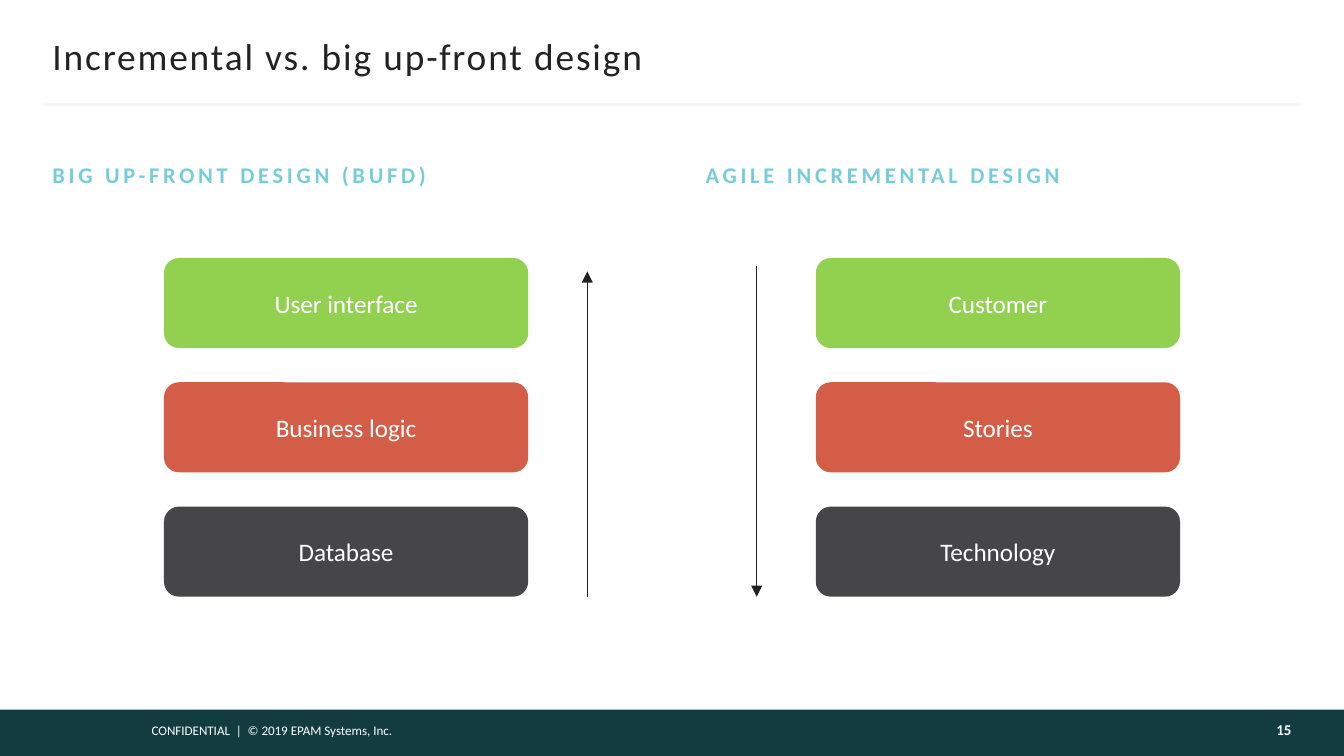
from dataclasses import dataclass

import pptx
import pptx.dml.color
import pptx.enum.shapes
import pptx.enum.text
import pptx.oxml
import pptx.oxml.ns
import pptx.slide
import pptx.util

Inches, Pt = pptx.util.Inches, pptx.util.Pt
RGBColor = pptx.dml.color.RGBColor
SHAPE = pptx.enum.shapes.MSO_SHAPE
ALIGN = pptx.enum.text.PP_ALIGN
ANCHOR = pptx.enum.text.MSO_ANCHOR
qn = pptx.oxml.ns.qn

WHITE = RGBColor(0xFF, 0xFF, 0xFF)
NEAR_WHITE = RGBColor(0xFE, 0xFE, 0xFE)
INK = RGBColor(0x22, 0x22, 0x22)
RULE = RGBColor(0xF5, 0xF5, 0xF5)
TEAL = RGBColor(0x13, 0x3C, 0x41)
AQUA = RGBColor(0x76, 0xCD, 0xD8)
GREEN = RGBColor(0x92, 0xD0, 0x50)
RED = RGBColor(0xD3, 0x5D, 0x47)
GREY = RGBColor(0x46, 0x45, 0x47)

SLIDE_W = 10
SLIDE_H = SLIDE_W * 9 / 16
FOOTER_TOP = 5.28
LAYER_COLORS = (GREEN, RED, GREY)
LAYER_W, LAYER_H = 2.71, 0.67
LAYER_TOP, LAST_LAYER_TOP = 1.92, 3.77
LAYER_PITCH = (LAST_LAYER_TOP - LAYER_TOP) / (len(LAYER_COLORS) - 1)
STACK_BOTTOM = LAST_LAYER_TOP + LAYER_H


@dataclass
class Label:
    text: str
    box: tuple[float, float, float, float]
    size: float
    color: RGBColor
    bold: bool = False
    spacing: float = 0
    align: ALIGN = ALIGN.LEFT
    anchor: ANCHOR = ANCHOR.TOP
    insets: tuple[float, float, float, float] = (0, 0, 0, 0)
    line_height: float | None = None


@dataclass
class Approach:
    heading: str
    heading_left: float
    stack_left: float
    layers: tuple[str, str, str]
    arrow_x: float
    arrow_from: float
    arrow_to: float


LABELS = (
    Label("CONFIDENTIAL  |  © 2019 EPAM Systems, Inc.", (1.03, 5.33, 2.65, 0.22),
          7, WHITE, insets=(0.1, 0.05, 0.1, 0.05)),
    Label("Incremental vs. big up-front design", (0.39, 0.25, 9.22, 0.33),
          20, INK, spacing=1, anchor=ANCHOR.MIDDLE, insets=(0, 0.05, 0, 0.05)),
    Label("15", (8.11, FOOTER_TOP, 1.5, 0.34), 8, NEAR_WHITE, bold=True,
          align=ALIGN.RIGHT, anchor=ANCHOR.MIDDLE, insets=(0.1, 0.05, 0, 0.09)),
)
APPROACHES = (
    Approach("BIG UP-FRONT DESIGN (BUFD)", 0.39, 1.22,
             ("User interface", "Business logic", "Database"),
             4.37, STACK_BOTTOM, 2.02),
    Approach("AGILE INCREMENTAL DESIGN", 5.25, 6.07,
             ("Customer", "Stories", "Technology"),
             5.63, 1.98, STACK_BOTTOM),
)


def write_text(sp, label: Label) -> None:
    tf = sp.text_frame
    left, top, right, bottom = map(Inches, label.insets)
    frame_format = {"word_wrap": True, "vertical_anchor": label.anchor,
                    "margin_left": left, "margin_top": top,
                    "margin_right": right, "margin_bottom": bottom}
    for name, value in frame_format.items():
        setattr(tf, name, value)
    p = tf.paragraphs[0]
    p.alignment = label.align
    if label.line_height:
        p.line_spacing = Pt(label.line_height)
    r = p.add_run()
    r.text = label.text
    font_format = {"name": "Calibri", "size": Pt(label.size), "bold": label.bold}
    for name, value in font_format.items():
        setattr(r.font, name, value)
    r.font.color.rgb = label.color
    if label.spacing:
        r._r.get_or_add_rPr().set("spc", str(int(label.spacing * 100)))


def add_label(s: pptx.slide.Slide, label: Label) -> None:
    write_text(s.shapes.add_textbox(*map(Inches, label.box)), label)


def add_block(shapes, kind: SHAPE, box: tuple[float, ...], color: RGBColor):
    sp = shapes.add_shape(kind, *map(Inches, box))
    sp.shadow.inherit = False
    sp.fill.solid()
    sp.fill.fore_color.rgb = color
    sp.line.fill.background()
    return sp


def add_line(s: pptx.slide.Slide, ends: tuple[float, ...], color: RGBColor,
             width: float, arrow: bool = False) -> None:
    line = s.shapes.add_connector(pptx.enum.shapes.MSO_CONNECTOR.STRAIGHT,
                                  *map(Inches, ends))
    line.line.color.rgb = color
    line.line.width = Pt(width)
    if arrow:
        tail = pptx.oxml.parse_xml(
            '<a:tailEnd xmlns:a="http://schemas.openxmlformats.org/drawingml/2006/main"'
            ' type="triangle"/>')
        line.line._get_or_add_ln().append(tail)
    sp_pr = line._element.spPr
    sp_pr.append(sp_pr.makeelement(qn("a:effectLst"), {}))


def add_approach(s: pptx.slide.Slide, approach: Approach) -> None:
    add_label(s, Label(approach.heading, (approach.heading_left, 1.18, 4.36, 0.38),
                       12, AQUA, bold=True, spacing=2, line_height=16))
    stack = s.shapes.add_group_shape()
    for i, (text, color) in enumerate(zip(approach.layers, LAYER_COLORS)):
        box = (approach.stack_left, LAYER_TOP + i * LAYER_PITCH, LAYER_W, LAYER_H)
        sp = add_block(stack.shapes, SHAPE.ROUNDED_RECTANGLE, box, color)
        write_text(sp, Label(text, box, 13.5, WHITE, align=ALIGN.CENTER,
                             anchor=ANCHOR.MIDDLE, insets=(0.1, 0.05, 0.1, 0.05)))
    add_line(s, (approach.arrow_x, approach.arrow_from,
                 approach.arrow_x, approach.arrow_to), INK, 0.5, arrow=True)


def main() -> None:
    prs = pptx.Presentation()
    prs.slide_width, prs.slide_height = Inches(SLIDE_W), Inches(SLIDE_H)
    s = prs.slides.add_slide(prs.slide_layouts[6])

    # Footer bar and title rule
    add_block(s.shapes, SHAPE.RECTANGLE,
              (0, FOOTER_TOP, SLIDE_W, SLIDE_H - FOOTER_TOP), TEAL)
    add_line(s, (0.32, 0.78, 9.68, 0.78), RULE, 1.5)

    # Footer text, title and page number
    for label in LABELS:
        add_label(s, label)

    # The two approaches side by side
    for approach in APPROACHES:
        add_approach(s, approach)

    prs.save("out.pptx")


if __name__ == "__main__":
    main()
